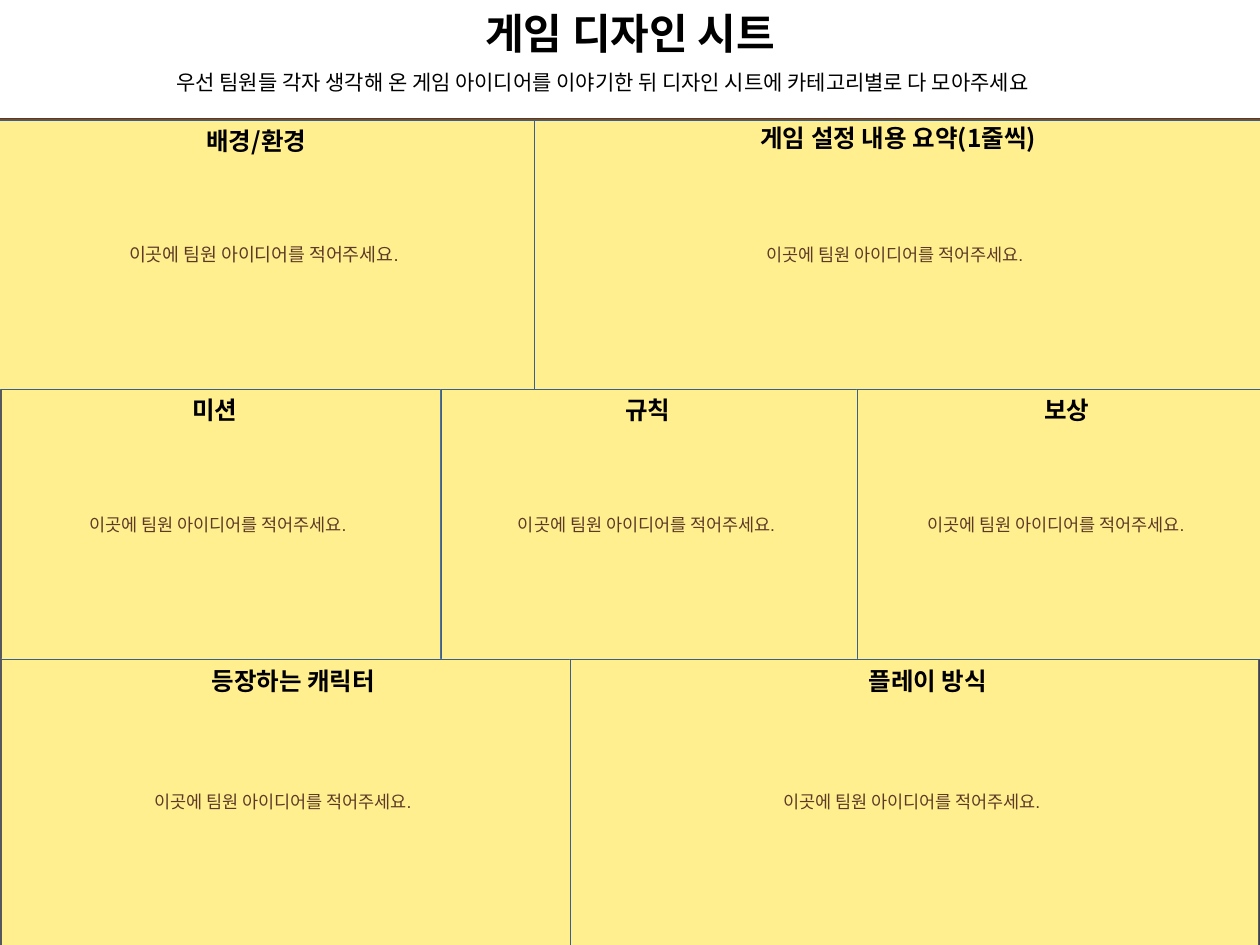
from typing import NamedTuple

import pptx
import pptx.dml.color
import pptx.enum.shapes
import pptx.enum.text
import pptx.oxml.ns
import pptx.util
from lxml import etree

RGB = pptx.dml.color.RGBColor
ALIGN = pptx.enum.text.PP_ALIGN
ANCHOR = pptx.enum.text.MSO_ANCHOR
AUTO = pptx.enum.text.MSO_AUTO_SIZE
RECT = pptx.enum.shapes.MSO_SHAPE.RECTANGLE

YELLOW = RGB(0xFF, 0xEF, 0x8F)
BROWN = RGB(0x5D, 0x3A, 0x27)
BLUE = RGB(0x3A, 0x5F, 0x8C)
BLACK = RGB(0, 0, 0)
KOREAN = "Noto Sans CJK KR"
PROMPT = "이곳에 팀원 아이디어를 적어주세요. "
PX = 914400 // 126
HEAD_H = 43


class Box(NamedTuple):
    x: int
    y: int
    w: int
    h: int

    def emu(self) -> list[int]:
        return [v * PX for v in self]


class Panel(NamedTuple):
    box: Box
    heading: str
    head_x: int
    head_y: int
    head_w: int = 198
    align: ALIGN = ALIGN.CENTER
    size: float = 10


def write(sp, text: str, size: float, font: str, color: RGB,
          align: ALIGN, bold: bool = False) -> None:
    tf = sp.text_frame
    tf.text = text
    tf.word_wrap = True
    p = tf.paragraphs[0]
    p.alignment = align
    f = p.runs[0].font
    f.size, f.bold, f.name = pptx.util.Pt(size), bold, font
    f.color.rgb = color
    ea = etree.SubElement(p.runs[0]._r.get_or_add_rPr(), pptx.oxml.ns.qn("a:ea"))
    ea.set("typeface", KOREAN)


def add_rect(slide, box: Box, line: RGB, width: float, fill: RGB | None = None):
    sp = slide.shapes.add_shape(RECT, *box.emu())
    sp.shadow.inherit = False
    if fill is None:
        sp.fill.background()
    else:
        sp.fill.solid()
        sp.fill.fore_color.rgb = fill
    sp.line.color.rgb = line
    sp.line.width = pptx.util.Pt(width)
    return sp


def add_label(slide, box: Box, text: str, size: float, align: ALIGN, bold: bool) -> None:
    sp = slide.shapes.add_textbox(*box.emu())
    write(sp, text, size, KOREAN, BLACK, align, bold)
    sp.text_frame.auto_size = AUTO.SHAPE_TO_FIT_TEXT


def add_panel(slide, panel: Panel) -> None:
    sp = add_rect(slide, panel.box, BLUE, 0.25, YELLOW)
    write(sp, PROMPT, panel.size, "Arial", BROWN, ALIGN.CENTER)
    sp.text_frame.vertical_anchor = ANCHOR.MIDDLE


PANELS = [
    Panel(Box(-1, 120, 535, 269), "배경/환경", 194, 120, align=ALIGN.LEFT, size=10.5),
    Panel(Box(534, 120, 726, 269), "게임 설정 내용 요약(1줄씩)", 748, 117, 387, ALIGN.LEFT),
    Panel(Box(1, 389, 439, 270), "미션", 116, 389),
    Panel(Box(441, 389, 416, 270), "규칙", 549, 389),
    Panel(Box(857, 389, 403, 270), "보상", 968, 389),
    Panel(Box(1, 659, 569, 286), "등장하는 캐릭터", 186, 660, 215),
    Panel(Box(570, 659, 688, 286), "플레이 방식", 829, 660),
]

prs = pptx.Presentation()
prs.slide_width, prs.slide_height = pptx.util.Inches(10), pptx.util.Inches(7.5)
slide = prs.slides.add_slide(prs.slide_layouts[5])

# Title and instruction
title = slide.shapes.title
title.left, title.top, title.width, title.height = Box(382, 13, 496, 40).emu()
write(title, "게임 디자인 시트", 24, "Arial", BLACK, ALIGN.CENTER, True)
title.text_frame.vertical_anchor = ANCHOR.MIDDLE
title.text_frame.auto_size = AUTO.NONE
add_label(slide, Box(164, 63, 1019, 38),
          "우선 팀원들 각자 생각해 온 게임 아이디어를 이야기한 뒤 디자인 시트에 카테고리별로 다 모아주세요",
          12, ALIGN.LEFT, False)

# Sheet frame, panels, then their headings
add_rect(slide, Box(-1, 120, 1261, 825), BROWN, 2)
for panel in PANELS:
    add_panel(slide, panel)
for panel in PANELS:
    add_label(slide, Box(panel.head_x, panel.head_y, panel.head_w, HEAD_H),
              panel.heading, 14, panel.align, True)

prs.save("out.pptx")
